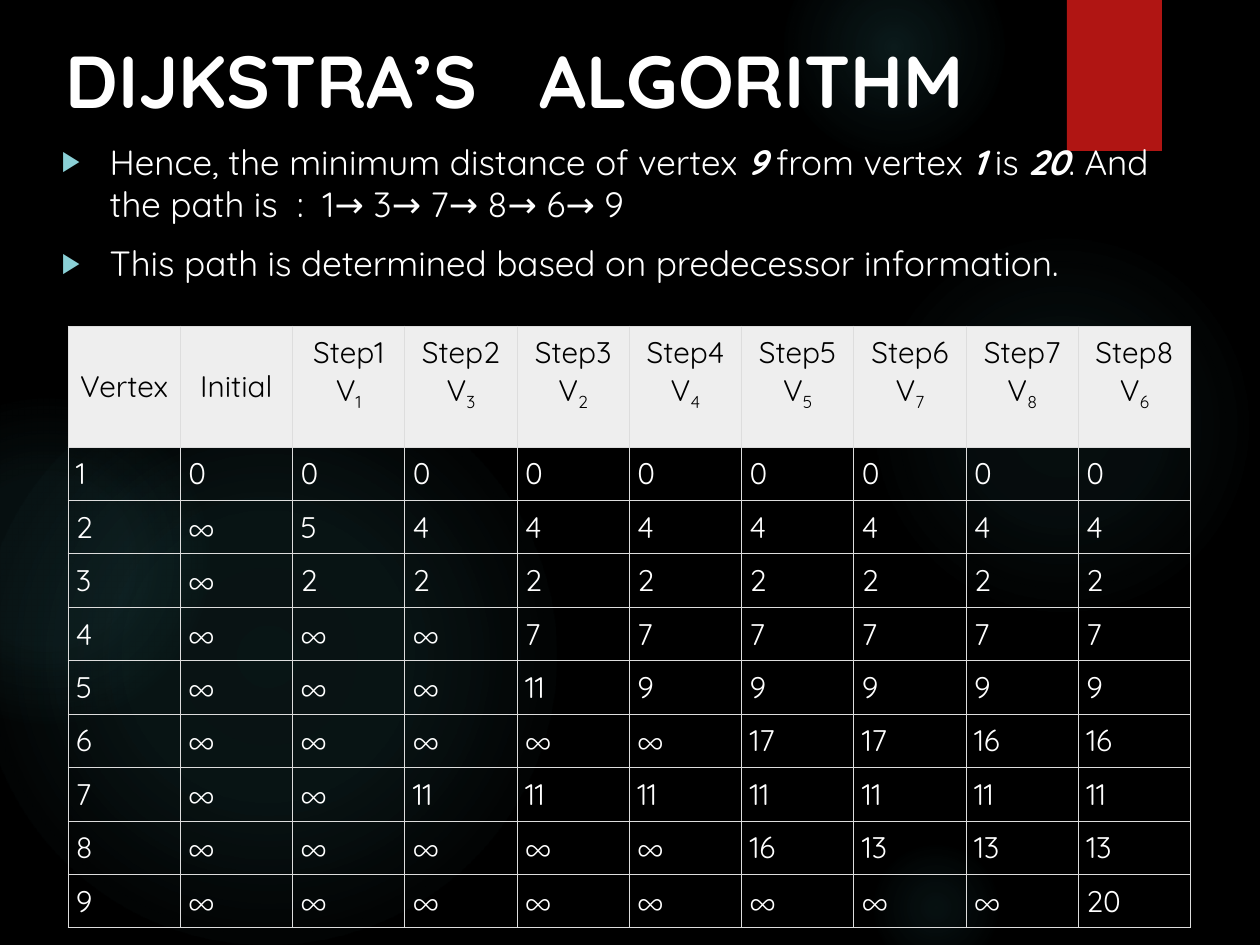
"""Builds a slide with the step table of Dijkstra's algorithm."""
from pptx import Presentation
from pptx.dml.color import RGBColor
from pptx.enum.shapes import MSO_SHAPE
from pptx.enum.text import MSO_ANCHOR, MSO_AUTO_SIZE, PP_ALIGN
from pptx.oxml import parse_xml
from pptx.oxml.ns import nsdecls
from pptx.util import Pt

COLORS = {
    "background": "000000", "glow": "50B9C1", "ribbon": "B01513",
    "light": "FFFFFF", "dark": "000000", "bullet": "8AD0D6",
    "header": "EEEEEE", "border": "DDDDDD",
}
FONT = "Quicksand"
PX = 914400 / 126


def px(*lengths):
    return [round(length * PX) for length in lengths]


def add_span(para, text, size, color="light", bold=False, italic=False):
    span = para.add_run()
    span.text = text
    span.font.name = FONT
    span.font.size = Pt(size)
    span.font.bold = bold
    span.font.italic = italic
    span.font.color.rgb = RGBColor.from_string(COLORS[color])
    return span


deck = Presentation()
deck.slide_width, deck.slide_height = px(1260, 945)
page = deck.slides.add_slide(deck.slide_layouts[1])
page.background.fill.solid()
page.background.fill.fore_color.rgb = RGBColor.from_string(COLORS["background"])

glows = [
    (868, 231, 388, (7, 6), 69),
    (784, -63, 220, (14, 7), 73),
    (868, 840, 136, (9, 5), 66),
    (-21, 368, 577, (11, 10), 75),
    (-116, 399, 325, (8, 8), 72),
]
for left, top, size, (inner, middle), edge in glows:
    glow = page.shapes.add_shape(MSO_SHAPE.OVAL, *px(left, top, size, size))
    glow.shadow.inherit = False
    glow.line.fill.background()
    stops = "".join(
        f'<a:gs pos="{place * 1000}"><a:srgbClr val="{COLORS["glow"]}">'
        f'<a:alpha val="{alpha * 1000}"/></a:srgbClr></a:gs>'
        for place, alpha in [(0, inner), (36, middle), (edge, 0)]
    )
    glow._element.spPr.prstGeom.addnext(parse_xml(
        f'<a:gradFill {nsdecls("a")}><a:gsLst>{stops}</a:gsLst><a:path path="circle">'
        '<a:fillToRect l="50000" t="50000" r="50000" b="50000"/></a:path></a:gradFill>'
    ))

ribbon = page.shapes.add_shape(MSO_SHAPE.RECTANGLE, *px(1067, 0, 95, 151))
ribbon.shadow.inherit = False
ribbon.fill.solid()
ribbon.fill.fore_color.rgb = RGBColor.from_string(COLORS["ribbon"])
ribbon.line.fill.background()

title, body = page.placeholders
places = [(title, (53, 26, 973, 106), MSO_ANCHOR.MIDDLE),
          (body, (49, 134, 1124, 192), MSO_ANCHOR.TOP)]
for box, place, anchor in places:
    box.left, box.top, box.width, box.height = px(*place)
    box.text_frame.word_wrap = True
    box.text_frame.auto_size = MSO_AUTO_SIZE.NONE
    box.text_frame.vertical_anchor = anchor
    page.shapes._spTree.append(box._element)

heading = title.text_frame.paragraphs[0]
heading.alignment = PP_ALIGN.LEFT
for text, spacing in [("DIJKSTRA", 0), ("’", -140), ("S   ALGORITHM", 0)]:
    span = add_span(heading, text, 42, bold=True)
    span._r.rPr.set("spc", str(spacing))

bullets = [
    [("Hence, the minimum distance of vertex ", False), ("9", True),
     (" from vertex ", False), ("1", True), (" is ", False), ("20", True),
     (". And the path is  :  1→ 3→ 7→ 8→ 6→ 9", False)],
    [("This path is determined based on predecessor information.", False)],
]
hanging = px(48)[0]
for index, spans in enumerate(bullets):
    para = body.text_frame.paragraphs[0] if index == 0 else body.text_frame.add_paragraph()
    para.space_before = Pt(10)
    properties = para._p.get_or_add_pPr()
    properties.set("marL", str(hanging))
    properties.set("indent", str(-hanging))
    for mark in [f'buClr {nsdecls("a")}><a:srgbClr val="{COLORS["bullet"]}"/></a:buClr>',
                 f'buSzPct {nsdecls("a")} val="80000"/>',
                 f'buChar {nsdecls("a")} char="▶"/>']:
        properties.append(parse_xml("<a:" + mark))
    for text, strong in spans:
        add_span(para, text, 20, bold=strong, italic=strong)

headers = [("Vertex", ""), ("Initial", "")]
headers += [(f"Step{step} V", vertex) for step, vertex in enumerate("13245786", 1)]
distances = [
    "0 0 0 0 0 0 0 0 0",
    "∞ 5 4 4 4 4 4 4 4",
    "∞ 2 2 2 2 2 2 2 2",
    "∞ ∞ ∞ 7 7 7 7 7 7",
    "∞ ∞ ∞ 11 9 9 9 9 9",
    "∞ ∞ ∞ ∞ ∞ 17 17 16 16",
    "∞ ∞ 11 11 11 11 11 11 11",
    "∞ ∞ ∞ ∞ ∞ 16 13 13 13",
    "∞ ∞ ∞ ∞ ∞ ∞ ∞ ∞ 20",
]
rows = [headers]
for vertex, line in enumerate(distances, 1):
    rows.append([(value, "") for value in [str(vertex), *line.split()]])

table = page.shapes.add_table(len(rows), len(headers), *px(68, 326, 1123, 598)).table
for row_index, row in enumerate(rows):
    is_header = row_index == 0
    table.rows[row_index].height = px(121 if is_header else 53)[0]
    for column_index, (text, subscript) in enumerate(row):
        cell = table.cell(row_index, column_index)
        cell.margin_left = cell.margin_right = cell.margin_top = cell.margin_bottom = px(8)[0]
        para = cell.text_frame.paragraphs[0]
        color = "dark" if is_header else "light"
        add_span(para, text, 17, color)
        if subscript:
            add_span(para, subscript, 17, color)._r.rPr.set("baseline", "-25000")
        if is_header:
            para.alignment = PP_ALIGN.CENTER
            cell.vertical_anchor = MSO_ANCHOR.TOP if subscript else MSO_ANCHOR.MIDDLE
            cell.fill.solid()
            cell.fill.fore_color.rgb = RGBColor.from_string(COLORS["header"])
        else:
            cell.fill.background()
        for order, side in enumerate("LRTB"):
            cell._tc.tcPr.insert(order, parse_xml(
                f'<a:ln{side} {nsdecls("a")} w="{Pt(0.6)}"><a:solidFill>'
                f'<a:srgbClr val="{COLORS["border"]}"/></a:solidFill></a:ln{side}>'
            ))

deck.save("out.pptx")
